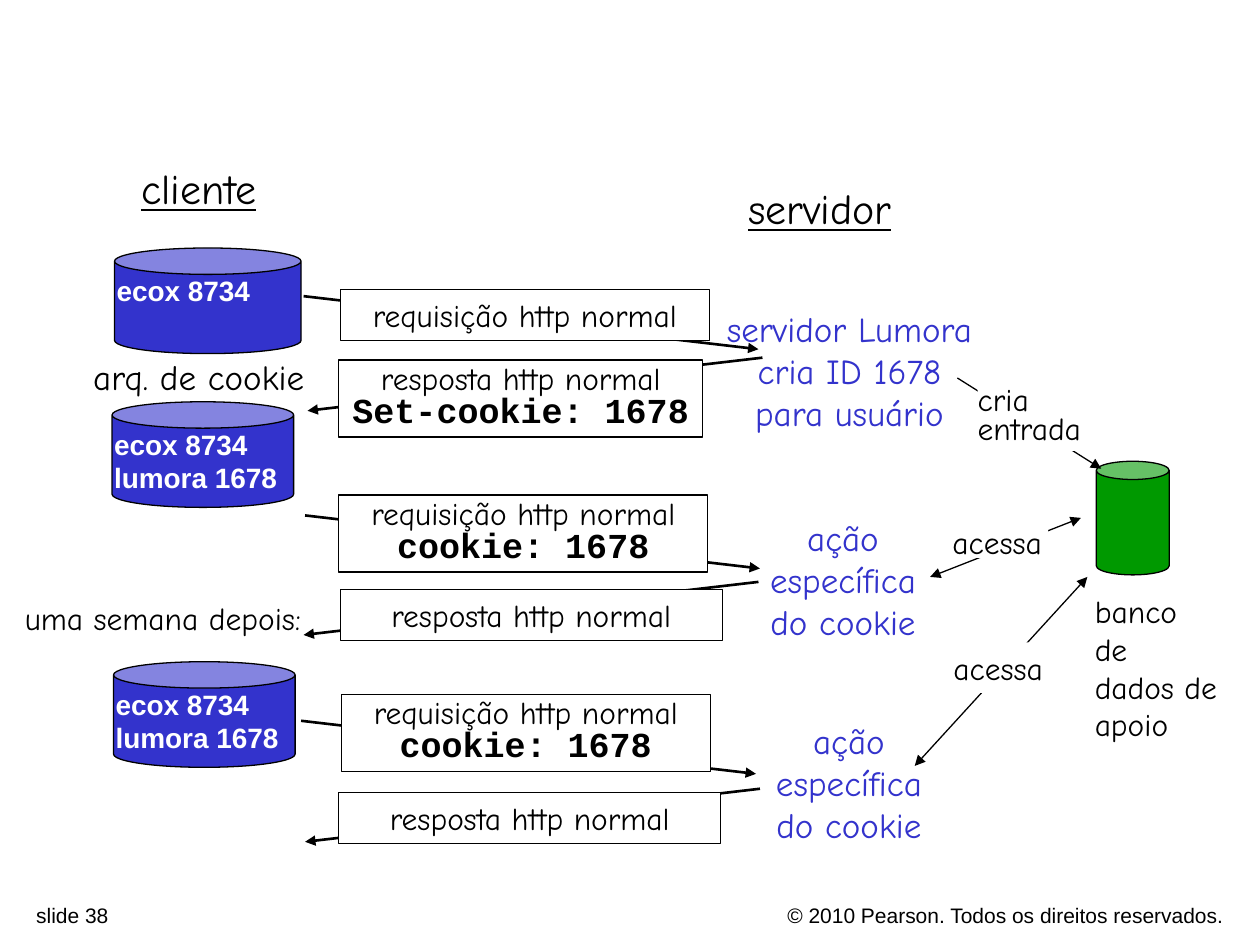
from dataclasses import dataclass

from lxml.etree import SubElement
from pptx import Presentation
from pptx.dml.color import RGBColor
from pptx.enum.shapes import MSO_CONNECTOR, MSO_SHAPE
from pptx.enum.text import MSO_ANCHOR, PP_ALIGN
from pptx.oxml.ns import qn
from pptx.util import Cm, Pt


@dataclass(frozen=True)
class Style:
    font: str
    size: int
    color: RGBColor
    bold: bool = False
    underline: bool = False


class Theme:
    black = RGBColor(0x00, 0x00, 0x00)
    white = RGBColor(0xFF, 0xFF, 0xFF)
    blue = RGBColor(0x33, 0x33, 0xCC)
    green = RGBColor(0x00, 0x99, 0x00)
    thin, thick = Pt(0.75), Pt(1.5)
    footer = Style("Arial", 12, black)
    heading = Style("Comic Neue", 24, black, underline=True)
    caption = Style("Comic Neue", 20, black)
    label = Style("Comic Neue", 18, black)
    action = Style("Comic Neue", 20, blue)
    header = Style("Courier New", 20, black, bold=True)
    cookie = Style("Arial", 16, white, bold=True)


LEFT, CENTER, RIGHT = PP_ALIGN.LEFT, PP_ALIGN.CENTER, PP_ALIGN.RIGHT


def write(tf, lines, align, spacing=None):
    """Fill a text frame with one paragraph per (text, style) pair."""
    tf.vertical_anchor = MSO_ANCHOR.TOP
    for i, (text, style) in enumerate(lines):
        p = tf.add_paragraph() if i else tf.paragraphs[0]
        p.text = text
        p.alignment = align
        if spacing:
            p.line_spacing = spacing
        p.font.name = style.font
        p.font.size = Pt(style.size)
        p.font.bold = style.bold
        p.font.underline = style.underline
        p.font.color.rgb = style.color


def add_text(s, box, text, style, align=LEFT, wrap=False, spacing=None, fill=None):
    """Add a text box; each line of text becomes a paragraph."""
    sp = s.shapes.add_textbox(*map(Cm, box))
    if fill is not None:
        sp.fill.solid()
        sp.fill.fore_color.rgb = fill
    sp.text_frame.word_wrap = wrap
    write(sp.text_frame, [(t, style) for t in text.split("\n")], align, spacing)


def add_block(s, kind, box, fill, outlined=True):
    sp = s.shapes.add_shape(kind, *map(Cm, box))
    sp.shadow.inherit = False
    sp.fill.solid()
    sp.fill.fore_color.rgb = fill
    if outlined:
        sp.line.color.rgb = Theme.black
        sp.line.width = Theme.thin
    else:
        sp.line.fill.background()
    return sp


def add_arrow(s, start, end, width, both_ends=False):
    c = s.shapes.add_connector(MSO_CONNECTOR.STRAIGHT, *map(Cm, (*start, *end)))
    c.line.color.rgb = Theme.black
    c.line.width = width
    ln = c.line._get_or_add_ln()
    if both_ends:
        SubElement(ln, qn("a:headEnd"), type="triangle")
    SubElement(ln, qn("a:tailEnd"), type="triangle")
    SubElement(c._element.spPr, qn("a:effectLst"))


def add_message(s, start, box, text, header=None):
    """Add an HTTP message: a slanted arrow with its box on top."""
    x, y = start
    to_server = text.startswith("requisição")
    add_arrow(s, start, (x + (9.17 if to_server else -9.17), y + 1.07), Theme.thick)
    sp = add_block(s, MSO_SHAPE.RECTANGLE, box, Theme.white)
    lines = [(text, Theme.label)]
    if header:
        lines.append((header, Theme.header))
    sp.text_frame.word_wrap = True
    write(sp.text_frame, lines, CENTER, 0.8 if header else None)


def add_cookie_file(s, x, y, width, text):
    add_block(s, MSO_SHAPE.CAN, (x, y, width, 2.13), Theme.blue)
    height = 0.94 + 0.68 * text.count("\n")
    add_text(s, (x - 0.21, y + 0.39, 4.42, height), text, Theme.cookie, wrap=True)


def add_database(s):
    """Add the back-end database and the arrows that reach it."""
    add_block(s, MSO_SHAPE.CAN, (22.1, 9.3, 1.47, 2.29), Theme.green)
    add_text(s, (21.82, 11.81, 3.02, 2.54), "banco de\vdados de\vapoio",
             Theme.label, fill=Theme.white)

    add_arrow(s, (19.3, 7.62), (22.2, 9.45), Theme.thin)
    add_block(s, MSO_SHAPE.RECTANGLE, (19.71, 7.77, 2.67, 1.32), Theme.white, False)
    add_text(s, (19.46, 7.72, 3.25, 1.4), "cria\ventrada", Theme.label,
             wrap=True, spacing=0.75)

    add_arrow(s, (18.75, 11.63), (21.79, 10.44), Theme.thin, both_ends=True)
    add_block(s, MSO_SHAPE.RECTANGLE, (18.95, 10.59, 2.18, 0.66), Theme.white, False)
    add_text(s, (18.95, 10.41, 2.31, 1.02), "acessa", Theme.label)

    add_arrow(s, (18.44, 15.44), (21.92, 11.63), Theme.thin, both_ends=True)
    add_text(s, (18.97, 12.95, 2.31, 1.02), "acessa", Theme.label, fill=Theme.white)


def main():
    prs = Presentation()
    prs.slide_width, prs.slide_height = Cm(25.4), Cm(19.05)
    s = prs.slides.add_slide(prs.slide_layouts[6])

    add_text(s, (11.94, 18.06, 12.98, 0.61),
             "© 2010 Pearson. Todos os direitos reservados.", Theme.footer, RIGHT, True)
    add_text(s, (0.48, 18.06, 8.94, 0.58), "slide 38", Theme.footer, wrap=True)
    add_text(s, (2.59, 3.15, 2.84, 1.27), "cliente", Theme.heading, CENTER)
    add_text(s, (14.83, 3.56, 3.4, 1.27), "servidor", Theme.heading, CENTER)

    request, response = "requisição http normal", "resposta http normal"
    messages = [
        ((6.12, 5.97), (6.86, 5.84, 7.44, 1.02), request),
        ((15.37, 7.21), (6.83, 7.26, 7.34, 1.55), response, "Set-cookie: 1678"),
        ((6.15, 10.39), (6.83, 9.98, 7.44, 1.55), request, "cookie: 1678"),
        ((15.29, 11.73), (6.86, 11.89, 7.7, 1.02), response),
        ((6.07, 14.53), (6.88, 14, 7.44, 1.55), request, "cookie: 1678"),
        ((15.32, 15.9), (6.83, 15.98, 7.7, 1.02), response),
    ]
    for message in messages:
        add_message(s, *message)

    add_text(s, (14.33, 6.07, 5.59, 2.79),
             "servidor Lumora\ncria ID 1678\vpara usuário", Theme.action, CENTER)
    for x, y in ((15.27, 10.29), (15.39, 14.38)):
        add_text(s, (x, y, 3.45, 2.79), "ação\vespecífica\vdo cookie",
                 Theme.action, CENTER)

    add_text(s, (1.63, 7.04, 5.46, 1.12), "arq. de cookie", Theme.caption, wrap=True)
    add_text(s, (0.25, 11.96, 6.07, 1.02), "uma semana depois:", Theme.label)
    add_cookie_file(s, 2.31, 5, 3.76, "ecox 8734")
    for x, y in ((2.26, 8.1), (2.29, 13.34)):
        add_cookie_file(s, x, y, 3.66, "ecox 8734\nlumora 1678")
    add_database(s)

    prs.save("out.pptx")


if __name__ == "__main__":
    main()
